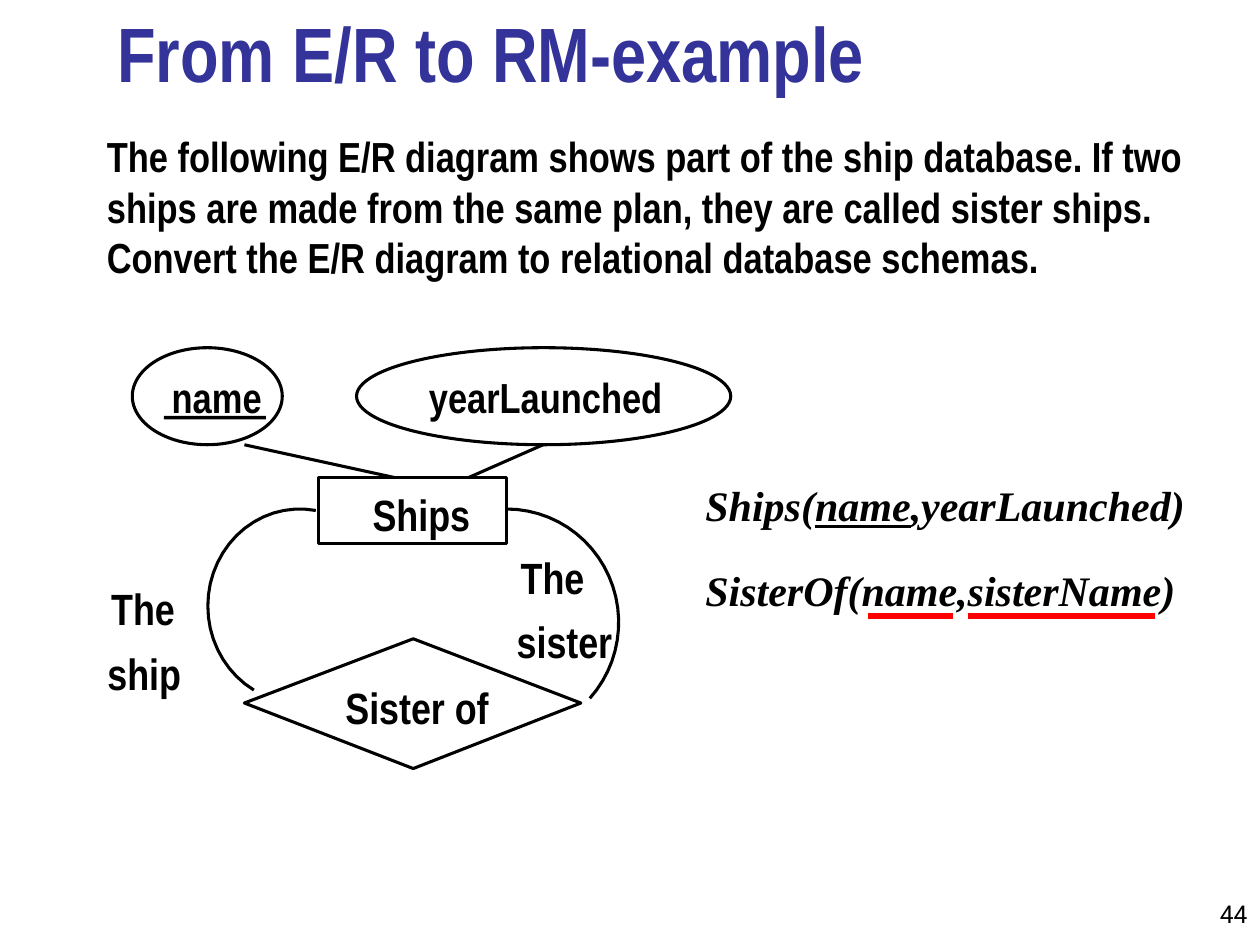
from math import cos, radians, sin

from lxml import etree
from pptx import Presentation
from pptx.dml.color import RGBColor
from pptx.enum.shapes import MSO_CONNECTOR, MSO_SHAPE
from pptx.enum.text import MSO_ANCHOR, MSO_AUTO_SIZE, PP_ALIGN
from pptx.oxml.ns import qn
from pptx.util import Inches, Pt

NARROW = "Arial Narrow"
SERIF = "Times New Roman"
BLACK = "000000"
RED = "FF0000"
OUTLINE = 1.75


def color(value):
    return RGBColor.from_string(value)


def inches(*lengths):
    return [Inches(length) for length in lengths]


def add_span(para, text, size, font=NARROW, fill=BLACK, bold=True, italic=None, underline=None):
    span = para.add_run()
    span.text = text
    span.font.size = Pt(size)
    span.font.name = font
    span.font.bold = bold
    span.font.italic = italic
    span.font.underline = underline
    span.font.color.rgb = color(fill)


def add_box(page, area, wrap=True, margin=None):
    box = page.shapes.add_textbox(*inches(*area))
    frame = box.text_frame
    frame.word_wrap = wrap
    if margin is not None:
        frame.margin_left = frame.margin_right = Inches(margin)
        frame.margin_top = frame.margin_bottom = Inches(margin)
    return frame


def add_label(page, text, area, size=25):
    frame = add_box(page, area, wrap=False, margin=0)
    frame.auto_size = MSO_AUTO_SIZE.SHAPE_TO_FIT_TEXT
    para = frame.paragraphs[0]
    para.alignment = PP_ALIGN.CENTER
    add_span(para, text, size)


def outline(shape):
    shape.shadow.inherit = False
    shape.fill.background()
    shape.line.color.rgb = color(BLACK)
    shape.line.width = Pt(OUTLINE)
    return shape


def add_line(page, start, end, stroke=BLACK, width=OUTLINE):
    line = page.shapes.add_connector(MSO_CONNECTOR.STRAIGHT, *inches(*start, *end))
    line.line.color.rgb = color(stroke)
    line.line.width = Pt(width)
    properties = line._element.spPr
    etree.SubElement(properties, qn("a:effectLst"))
    return line


def add_polyline(page, points, close):
    points = [tuple(inches(*point)) for point in points]
    builder = page.shapes.build_freeform(*points[0])
    builder.add_line_segments(points[1:], close=close)
    return outline(builder.convert_to_shape())


def add_arc(page, center, radii, first, last, steps=24):
    """Draw part of an ellipse, with angles in degrees clockwise from the right."""
    angles = [radians(first + (last - first) * step / steps) for step in range(steps + 1)]
    points = [(center[0] + radii[0] * cos(angle), center[1] + radii[1] * sin(angle))
              for angle in angles]
    add_polyline(page, points, close=False)


def add_title(page, area):
    title = page.shapes.title
    title.left, title.top, title.width, title.height = inches(*area)
    frame = title.text_frame
    frame.vertical_anchor = MSO_ANCHOR.BOTTOM
    para = frame.paragraphs[0]
    para.alignment = PP_ALIGN.LEFT
    add_span(para, "From E/R to RM-example", 44, fill="333399")


def add_question(page, area):
    para = add_box(page, area).paragraphs[0]
    add_span(para, "The following E/R diagram shows part of the ship database. "
                   "If two ships are made from the same plan, they are called sister ships. "
                   "Convert the E/R diagram to relational database schemas.", 24)


def add_diagram(page, left, top):
    def place(x, y, *size):
        return (left + x, top + y, *size)

    for x, width in ((0, 1.19), (1.78, 2.97)):
        outline(page.shapes.add_shape(MSO_SHAPE.OVAL, *inches(*place(x, 0, width, 0.77))))
    add_label(page, "name", place(0.31, 0.19, 0.72, 0.4), 24)
    add_label(page, "yearLaunched", place(2.14, 0.19, 2.28, 0.4), 24)
    key_mark = page.shapes.add_shape(MSO_SHAPE.RECTANGLE, *inches(*place(0.25, 0.54, 0.81, 0.03)))
    key_mark.shadow.inherit = False
    key_mark.fill.solid()
    key_mark.fill.fore_color.rgb = color(BLACK)
    key_mark.line.fill.background()

    outline(page.shapes.add_shape(MSO_SHAPE.RECTANGLE, *inches(*place(1.48, 1.03, 1.49, 0.52))))
    add_label(page, "Ships", place(1.86, 1.11, 0.87, 0.42))
    add_line(page, place(2.08, 1.03), place(0.89, 0.77))
    add_line(page, place(2.67, 1.03), place(3.26, 0.77))

    diamond = [place(2.23, 2.31), place(0.89, 2.82), place(2.23, 3.34), place(3.56, 2.82)]
    add_polyline(page, diamond, close=True)
    add_label(page, "Sister of", place(1.64, 2.64, 1.24, 0.42))
    add_arc(page, place(1.33, 2.05), (0.73, 0.77), 120, 280)
    add_arc(page, place(2.97, 2.18), (0.89, 0.9), -90, 42)

    add_label(page, "The ", place(3.08, 1.61, 0.59, 0.42))
    add_label(page, "sister", place(3.0, 2.12, 0.86, 0.42))
    add_label(page, "The ", place(-0.17, 1.86, 0.59, 0.42))
    add_label(page, "ship", place(-0.25, 2.37, 0.69, 0.42))


def add_schemas(page, left, top):
    ships = add_box(page, (left, top, 4.33, 0.5)).paragraphs[0]
    for text, key in (("Ships(", False), ("name", True), (",yearLaunched)", False)):
        add_span(ships, text, 24, SERIF, italic=True, underline=key)
    sister_of = add_box(page, (left, top + 0.67, 4.5, 0.5)).paragraphs[0]
    add_span(sister_of, "SisterOf(name,sisterName)", 24, SERIF, italic=True)
    for start, end in ((1.39, 2.06), (2.18, 3.67)):
        add_line(page, (left + start, top + 1.13), (left + end, top + 1.13), RED, 3)


def add_page_number(page, area):
    frame = add_box(page, area)
    frame.vertical_anchor = MSO_ANCHOR.BOTTOM
    para = frame.paragraphs[0]
    para.alignment = PP_ALIGN.RIGHT
    add_span(para, "44", 14, "Roboto", bold=False)


def main():
    deck = Presentation()
    deck.slide_width, deck.slide_height = inches(10, 7.5)
    page = deck.slides.add_slide(deck.slide_layouts[5])
    add_page_number(page, (9.33, 6.92, 0.67, 0.5))
    add_title(page, (0.83, 0.08, 8.52, 0.75))
    add_question(page, (0.75, 0.99, 8.83, 1.3))
    add_schemas(page, 5.5, 3.76)
    add_diagram(page, 1.05, 2.76)
    deck.save("out.pptx")


if __name__ == "__main__":
    main()
